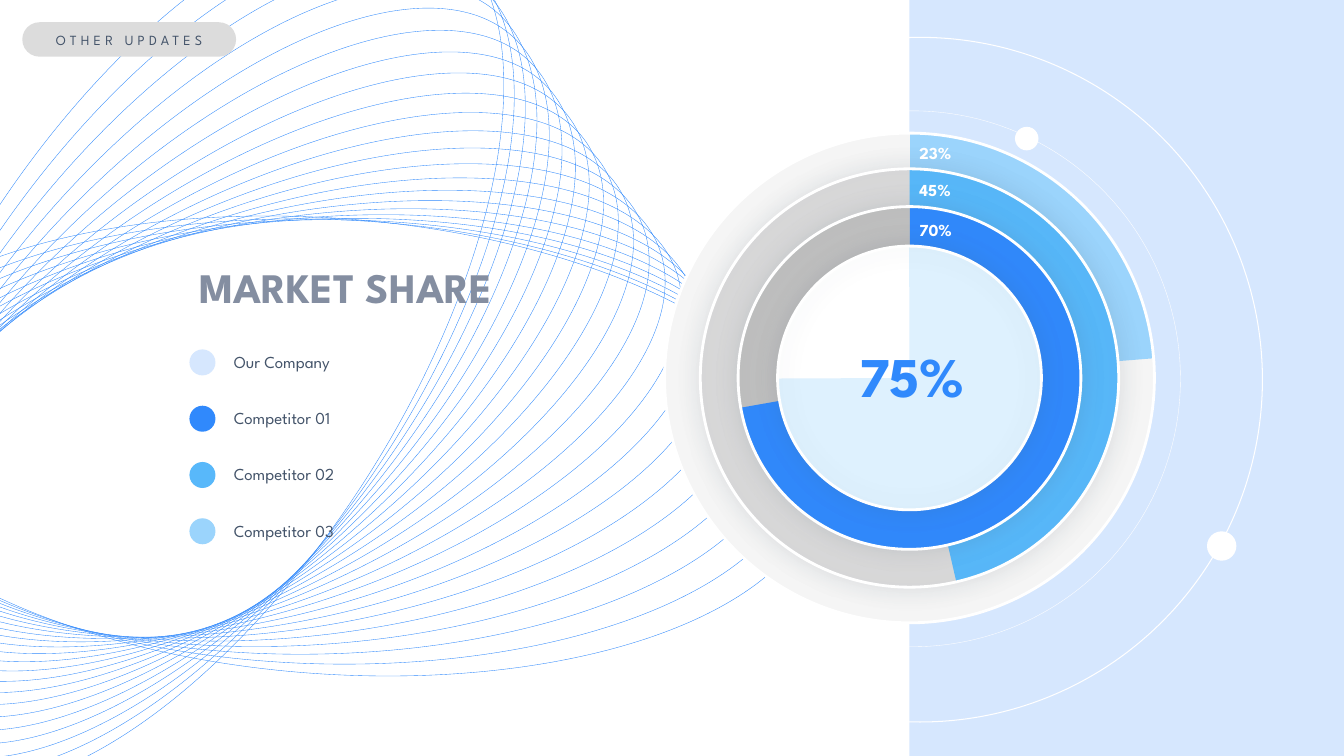
from math import atan2, degrees, hypot

from lxml.etree import SubElement
from pptx import Presentation
from pptx.dml.color import RGBColor
from pptx.enum.shapes import MSO_SHAPE as Preset
from pptx.enum.text import MSO_ANCHOR as Anchor
from pptx.enum.text import MSO_AUTO_SIZE as AutoSize
from pptx.enum.text import PP_ALIGN as Align
from pptx.oxml.ns import qn
from pptx.util import Inches, Pt

# Grid of 32 columns by 18 rows with square cells
COLUMNS, ROWS = 32, 18
WIDTH, HEIGHT = Inches(13.33), Inches(7.5)
CELL = HEIGHT / ROWS
FONT = "League Spartan"
COLORS = {
    "white": "FFFFFF", "pale": "D6E7FE", "ice": "DEF1FE", "light": "9BD4FC",
    "sky": "58B8FA", "blue": "3089FC", "slate": "44546A", "title": "848EA1",
    "mist": "F5F5F5", "silver": "D9D9D9", "gray": "BFBFBF", "tag": "DCDCDC",
}


def color(name):
    return RGBColor.from_string(COLORS[name])


def cells(*lengths):
    return [round(length * CELL) for length in lengths]


def paint(shape, fill=None, line=None, weight=1, shadow=False):
    shape.shadow.inherit = False
    if fill:
        shape.fill.solid()
        shape.fill.fore_color.rgb = color(fill)
    else:
        shape.fill.background()
    if line:
        shape.line.color.rgb = color(line)
        shape.line.width = Pt(weight)
    else:
        shape.line.fill.background()
    if shadow:
        effects = shape.element.spPr.find(qn("a:effectLst"))
        outer = SubElement(effects, qn("a:outerShdw"), blurRad=str(Pt(18)), dist="0",
                           dir="0", algn="ctr", rotWithShape="0")
        tint = SubElement(outer, qn("a:srgbClr"), val=COLORS["slate"])
        SubElement(tint, qn("a:alpha"), val="15000")
    return shape


def add_preset(parent, preset, box, adjustments=(), **look):
    shape = parent.shapes.add_shape(preset, *cells(*box))
    for index, value in enumerate(adjustments):
        shape.adjustments[index] = value
    return paint(shape, **look)


def add_round(slide, center_x, center_y, radius, preset=Preset.OVAL, adjustments=(), **look):
    box = (center_x - radius, center_y - radius, 2 * radius, 2 * radius)
    return add_preset(slide, preset, box, adjustments, **look)


def write(shape, text, ink, align=Align.LEFT, spacing=None, **formats):
    paragraph = shape.text_frame.paragraphs[0]
    paragraph.alignment = align
    paragraph.line_spacing = spacing
    run = paragraph.add_run()
    run.text = text
    for name, value in {"name": FONT, **formats}.items():
        setattr(run.font, name, value)
    run.font.color.rgb = color(ink)
    return run


def add_text(slide, box, text, ink, wrap=False, **formats):
    shape = slide.shapes.add_textbox(*cells(*box))
    shape.text_frame.word_wrap = wrap
    shape.text_frame.auto_size = AutoSize.SHAPE_TO_FIT_TEXT
    write(shape, text, ink, **formats)


def draw_panel(slide, box):
    """Tinted right side with two orbits and their dots."""
    left, top, _, height = box
    middle = top + height / 2
    add_preset(slide, Preset.ROUNDED_RECTANGLE, box, [0], fill="pale")
    add_round(slide, left + 0.25, middle + 0.04, 8.15, line="white", weight=0.75)
    add_round(slide, left + 7.43, middle + 4, 0.35, fill="white")
    add_round(slide, left + 0.07, middle + 0.02, 6.38, line="white", weight=0.25)
    add_round(slide, left + 2.79, middle - 5.7, 0.28, fill="white")


def draw_waves(slide, box, count=22):
    """Turned ellipses whose center and half axes shift evenly."""
    left, top = box[:2]
    # Center, long half axis and short half axis, each as x and y
    first = (7.8, 10.62, 11.76, 0.85, -0.4, 5.41)
    last = (4.21, 8.36, 6.28, -9.97, 4.6, 2.89)
    group = slide.shapes.add_group_shape()
    for number in range(count):
        share = number / (count - 1)
        x, y, long_x, long_y, short_x, short_y = (
            start + (end - start) * share for start, end in zip(first, last))
        long, short = hypot(long_x, long_y), hypot(short_x, short_y)
        ellipse_box = (left + x - long, top + y - short, 2 * long, 2 * short)
        ellipse = add_preset(group, Preset.OVAL, ellipse_box, line="blue", weight=0.25)
        ellipse.rotation = degrees(atan2(long_y, long_x))


def draw_rings(slide, box):
    """Nested pies, each with a white rim, and their percentages."""
    left, top, width, height = box
    x, y = left + width / 2, top + height / 2
    # Radius, disk, slice, start and end angle in degrees
    rings = [
        (5.83, "mist", "light", 270.17, 355.39),
        (4.98, "silver", "sky", 270.03, 77.06),
        (4.08, "gray", "blue", 270.14, 170),
        (3.14, "white", "ice", 269.85, 179.76),
    ]
    for index, (radius, disk, portion, start, end) in enumerate(rings):
        add_round(slide, x, y, radius, fill=disk, shadow=index > 0)
        add_round(slide, x, y, radius, Preset.PIE, [start * 0.6, end * 0.6], fill=portion)
    for index, ring in enumerate(rings):
        add_round(slide, x, y, ring[0], line="white", weight=2, shadow=index > 0)
    for offset, label in [(0.12, "23%"), (0.98, "45%"), (1.94, "70%")]:
        add_text(slide, (x, top + offset, 1.3, 0.72), label, "white", size=Pt(12), bold=True)
    add_text(slide, (x - 1.9, y - 0.98, 3.91, 1.85), "75%", "blue", wrap=True,
             align=Align.CENTER, size=Pt(40), bold=True)


def draw_legend(slide, box):
    """Heading above a column of keyed names."""
    left, top, width, _ = box
    add_text(slide, (left, top, width, 1.46), "MARKET SHARE", "title", wrap=True,
             spacing=Pt(40), size=Pt(30), bold=True)
    entries = [("Our Company", "pale"), ("Competitor 01", "blue"),
               ("Competitor 02", "sky"), ("Competitor 03", "light")]
    for row, (name, key) in enumerate(entries):
        entry_top = top + 2.34 + 1.34 * row
        add_preset(slide, Preset.OVAL, (left, entry_top, 0.62, 0.62), fill=key)
        add_text(slide, (left + 0.82, entry_top - 0.07, 3.29, 0.72), name, "slate", size=Pt(12))


def draw_tag(slide, box):
    """Pill with the section name."""
    shape = add_preset(slide, Preset.ROUNDED_RECTANGLE, box, [0.5], fill="tag")
    frame_formats = {"margin_left": 0, "margin_top": 0, "margin_right": 0,
                     "margin_bottom": 0, "vertical_anchor": Anchor.MIDDLE}
    for name, value in frame_formats.items():
        setattr(shape.text_frame, name, value)
    write(shape, "OTHER UPDATES", "slate", align=Align.CENTER, size=Pt(10))
    # Letter spacing of 3 points
    for properties in shape.element.iter(qn("a:rPr")):
        properties.set("spc", "300")


def main():
    presentation = Presentation()
    presentation.slide_width, presentation.slide_height = WIDTH, HEIGHT
    slide = presentation.slides.add_slide(presentation.slide_layouts[6])
    draw_panel(slide, (21.65, 0, COLUMNS - 21.65, ROWS))
    draw_waves(slide, (0, 0, COLUMNS, ROWS))
    draw_rings(slide, (15.82, 3.17, 11.66, 11.66))
    draw_legend(slide, (4.51, 5.98, 8.5, 7))
    draw_tag(slide, (0.53, 0.53, 5.09, 0.82))
    presentation.save("out.pptx")


if __name__ == "__main__":
    main()
